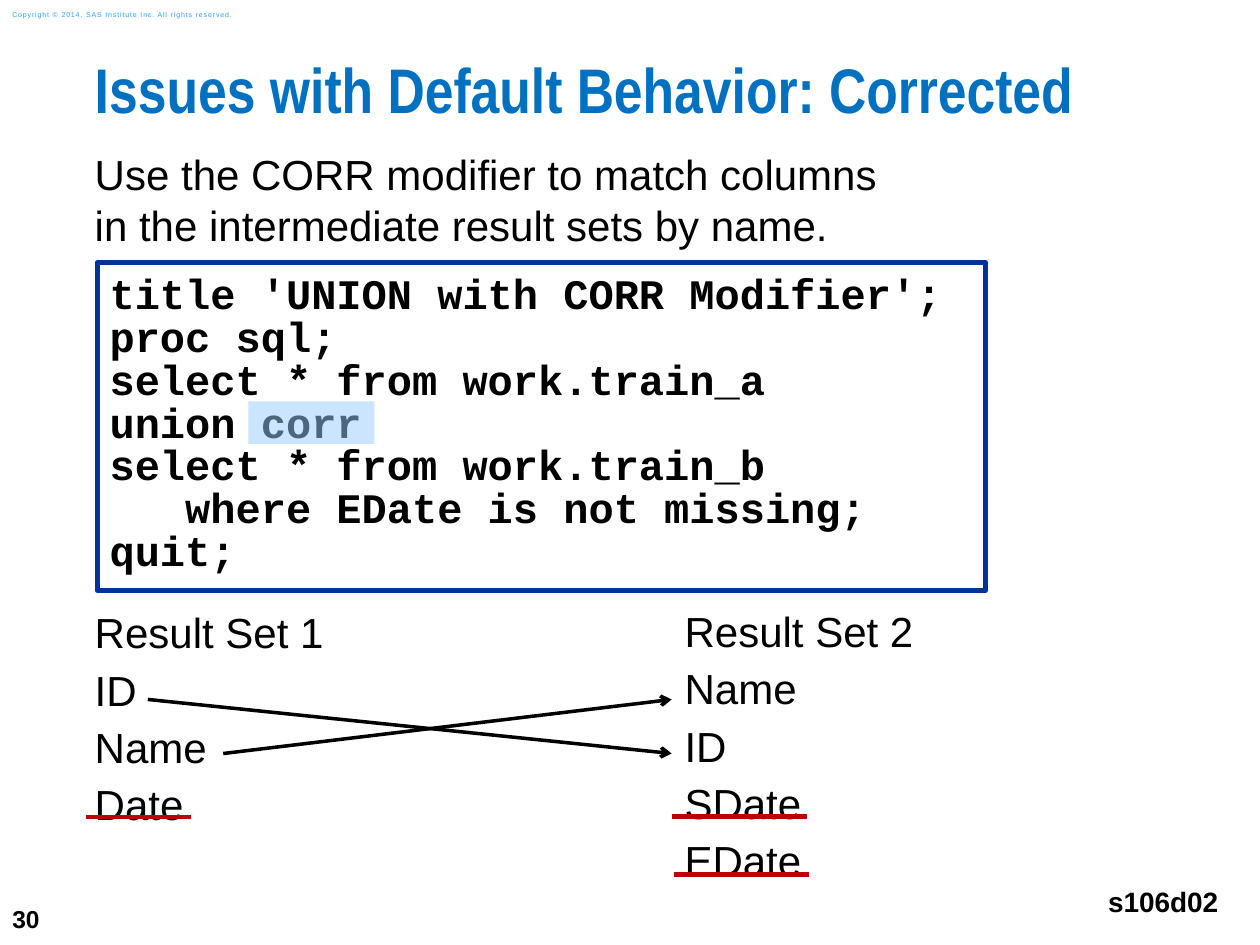
from collections import namedtuple

from lxml import etree
from pptx import Presentation
from pptx.dml.color import RGBColor
from pptx.enum.shapes import MSO_CONNECTOR, MSO_SHAPE
from pptx.enum.text import MSO_ANCHOR, MSO_AUTO_SIZE, PP_ALIGN
from pptx.oxml.ns import qn
from pptx.util import Cm, Pt

LEFT, RIGHT = PP_ALIGN.LEFT, PP_ALIGN.RIGHT
TOP, MIDDLE = MSO_ANCHOR.TOP, MSO_ANCHOR.MIDDLE
NO_FIT = MSO_AUTO_SIZE.NONE
RECTANGLE = MSO_SHAPE.RECTANGLE
STRAIGHT = MSO_CONNECTOR.STRAIGHT

BLACK, WHITE = "000000", "FFFFFF"
TITLE_BLUE, COPYRIGHT_BLUE = "0070C0", "2A9CFF"
FRAME_BLUE, HIGHLIGHT_BLUE = "003399", "99CCFF"
STRIKE_RED = "C00000"

Box = namedtuple("Box", "left top width height")  # centimetres

CODE = """title 'UNION with CORR Modifier';
proc sql;
select * from work.train_a
union corr
select * from work.train_b
   where EDate is not missing;
quit;"""
INTRO = "Use the CORR modifier to match columns\vin the intermediate result sets by name."
FIRST_RESULT = ["Result Set 1", "ID", "Name", "Date"]
SECOND_RESULT = ["Result Set 2", "Name", "ID", "SDate", "EDate"]
SECOND_COLUMN = 11.89


def color(value):
    return RGBColor.from_string(value)


def place(shape, box):
    shape.left, shape.top, shape.width, shape.height = (Cm(value) for value in box)


def style(para, name, size, shade, bold=False, align=LEFT):
    para.alignment = align
    para.font.name = name
    para.font.size = Pt(size)
    para.font.bold = bold
    para.font.color.rgb = color(shade)


def prepare_frame(frame, margins, anchor=TOP, wrap=True):
    """Set margins (left, top, right, bottom, in cm), anchor and wrapping."""
    frame.auto_size = NO_FIT
    frame.word_wrap = wrap
    frame.vertical_anchor = anchor
    (frame.margin_left, frame.margin_top,
     frame.margin_right, frame.margin_bottom) = (Cm(value) for value in margins)


def add_label(page, box, text, size, shade, margins, bold=True, align=LEFT, anchor=TOP):
    label = page.shapes.add_textbox(*(Cm(value) for value in box))
    prepare_frame(label.text_frame, margins, anchor, wrap=False)
    para = label.text_frame.paragraphs[0]
    para.text = text
    style(para, "Arial", size, shade, bold, align)
    return para


def add_rectangle(page, box, fill):
    rectangle = page.shapes.add_shape(RECTANGLE, *(Cm(value) for value in box))
    rectangle.shadow.inherit = False
    rectangle.fill.solid()
    rectangle.fill.fore_color.rgb = color(fill)
    return rectangle


def add_line(page, box, start, end, shade, width, arrow=False):
    """Draw a line between two points measured from the corner of the box."""
    line = page.shapes.add_connector(
        STRAIGHT, Cm(box.left + start[0]), Cm(box.top + start[1]),
        Cm(box.left + end[0]), Cm(box.top + end[1]))
    line.line.color.rgb = color(shade)
    line.line.width = Pt(width)
    if arrow:
        etree.SubElement(line.line._get_or_add_ln(), qn("a:tailEnd"), type="arrow")
    etree.SubElement(line._element.spPr, qn("a:effectLst"))


def fill_title(page, box):
    title = page.shapes.title
    place(title, box)
    prepare_frame(title.text_frame, (0, 0, 0, 0))
    para = title.text_frame.paragraphs[0]
    para.text = "Issues with Default Behavior: Corrected"
    para.line_spacing = 0.83
    style(para, "Arial Narrow", 36, TITLE_BLUE, bold=True)


def fill_body(body, box, texts):
    """Write plain paragraphs without bullets into a body placeholder."""
    place(body, box)
    frame = body.text_frame
    prepare_frame(frame, (0, 0, 0, 0))
    for index, text in enumerate(texts):
        para = frame.paragraphs[0] if index == 0 else frame.add_paragraph()
        para.text = text
        properties = para._p.get_or_add_pPr()
        properties.set("marL", "0")
        properties.set("indent", "0")
        etree.SubElement(properties, qn("a:buNone"))
        para.line_spacing = 1.0
        para.space_before = Pt(0)
        para.space_after = Pt(4)
        style(para, "Arial", 24, BLACK)
    return frame


def fill_text(page, box):
    """Place the introduction with the first result set, and the second beside it."""
    first, second = page.placeholders[1], page.placeholders[2]
    frame = fill_body(first, box, [INTRO] + FIRST_RESULT)
    frame.paragraphs[1].space_before = Pt(200)
    second_box = Box(box.left + SECOND_COLUMN, box.top + 9.2, 6, 5.8)
    fill_body(second, second_box, SECOND_RESULT)


def add_code(page, box):
    panel = add_rectangle(page, box, WHITE)
    panel.line.color.rgb = color(FRAME_BLUE)
    panel.line.width = Pt(3)
    frame = panel.text_frame
    prepare_frame(frame, (0.25, 0.25, 0.74, 0.25), wrap=False)
    for index, text in enumerate(CODE.splitlines()):
        para = frame.paragraphs[0] if index == 0 else frame.add_paragraph()
        para.text = text
        para.line_spacing = 0.85
        style(para, "Courier New", 24, BLACK, bold=True)

    highlight = add_rectangle(
        page, Box(box.left + 3.05, box.top + 2.79, 2.54, 0.86), HIGHLIGHT_BLUE)
    highlight.line.fill.background()
    shade = highlight._element.spPr.find(qn("a:solidFill"))[0]
    etree.SubElement(shade, qn("a:alpha"), val="50000")


def mark_results(page, box):
    """Join the matching columns and strike out the unmatched ones."""
    upper, lower = 1.17, 2.26
    target = SECOND_COLUMN - 0.26
    add_line(page, box, (1.07, upper), (target, lower), BLACK, 2, arrow=True)
    add_line(page, box, (2.59, lower), (target, upper), BLACK, 2, arrow=True)
    for left, top, width in ((-0.18, 3.54, 2.13), (target, 3.53, 2.72),
                             (target + 0.05, 4.7, 2.72)):
        add_line(page, box, (left, top), (left + width, top), STRIKE_RED, 2.5)


def add_margin_notes(page, box):
    copyright_line = add_label(
        page, Box(box.left, box.top + 0.08, 5.36, 0.43),
        "Copyright © 2014, SAS Institute Inc. All rights reserved.",
        4, COPYRIGHT_BLUE, (0.25, 0.13, 0.25, 0.13), bold=False, anchor=MIDDLE)
    copyright_line.runs[0]._r.get_or_add_rPr().set("spc", "50")
    add_label(page, Box(box.left, box.top + box.height - 1.07, 1.47, 1.07), "30",
              14, BLACK, (0.25, 0.13, 0.25, 0.13), anchor=MIDDLE)
    add_label(page, Box(box.left + box.width - 3.33, box.top + box.height - 1.47, 2.74, 1.19),
              "s106d02", 16, BLACK, (0.25, 0.25, 0.25, 0.25), align=RIGHT)


def main():
    deck = Presentation()
    deck.slide_width, deck.slide_height = Cm(25.4), Cm(19.05)
    page = deck.slides.add_slide(deck.slide_layouts[3])
    add_margin_notes(page, Box(0, 0, 25.4, 19.05))
    fill_title(page, Box(1.91, 1.27, 23.49, 1.91))
    fill_text(page, Box(1.91, 3, 21.79, 14))
    add_code(page, Box(1.96, 5.3, 17.91, 6.6))
    mark_results(page, Box(1.91, 12.93, 21.79, 5.8))
    deck.save("out.pptx")


if __name__ == "__main__":
    main()
